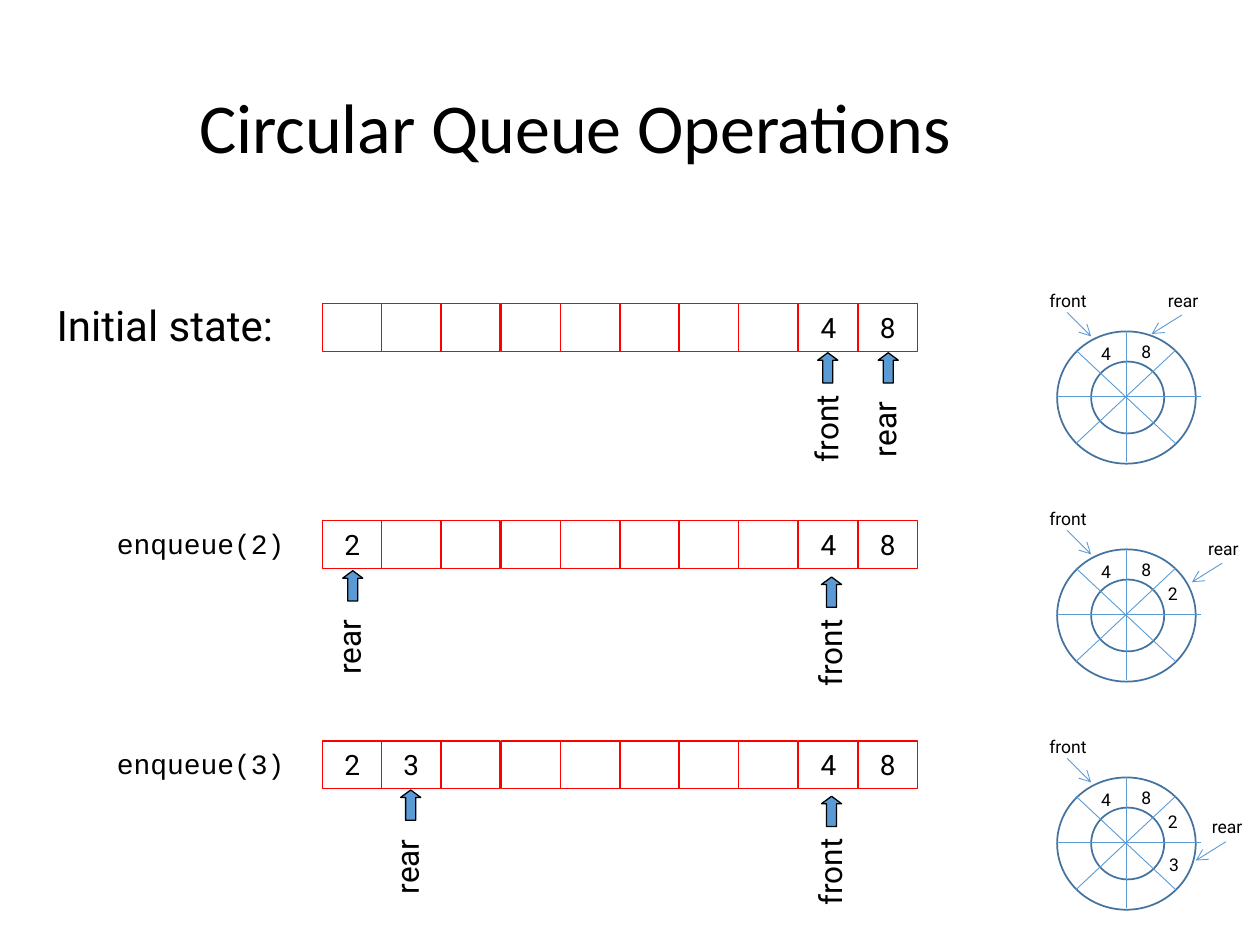
from dataclasses import dataclass

from lxml.etree import SubElement
from pptx import Presentation
from pptx.dml.color import RGBColor
from pptx.enum.shapes import MSO_CONNECTOR, MSO_SHAPE
from pptx.enum.text import MSO_ANCHOR, PP_ALIGN
from pptx.oxml.ns import qn
from pptx.util import Emu, Pt

BLACK = RGBColor(0x00, 0x00, 0x00)
WHITE = RGBColor(0xFF, 0xFF, 0xFF)
RED = RGBColor(0xFF, 0x00, 0x00)
BLUE = RGBColor(0x5B, 0x9B, 0xD5)
DARK_BLUE = RGBColor(0x43, 0x73, 0x9E)

EMU_PER_PX = 9144  # 100 px to the inch
CELL_COUNT, ARRAY_LEFT, ARRAY_WIDTH = 10, 256, 472
RING_LEFT = 839
# Ends of the spokes and places of the values, from the ring's top left corner
SPOKES = [(55, 0, 55, 104), (94, 15, 15, 89), (114, 52, 0, 52), (15, 15, 94, 89)]
SLOTS = {4: (25, 4), 8: (57, 3), 2: (78, 22), 3: (79, 56)}


@dataclass(frozen=True)
class Caption:
    text: str
    left: int
    top: int
    width: int
    height: int
    size: int
    font: str = "Roboto"


@dataclass(frozen=True)
class Pointer:
    """An up arrow below the array, with its label turned to read upwards."""
    left: int
    top: int


@dataclass(frozen=True)
class QueueState:
    caption: Caption
    array_top: int
    cells: dict[int, int]
    front: Pointer
    rear: Pointer
    ring_top: int
    ring_values: tuple[int, ...]
    ring_rear: tuple[int, int]


STATES = [
    QueueState(Caption("Initial state:", 35, 233, 205, 55, 24), 241, {8: 4, 9: 8},
               Pointer(649, 280), Pointer(697, 280), 263, (4, 8), (78, -38)),
    QueueState(Caption("enqueue(2)", 83, 413, 165, 37, 16, "Courier New"), 413,
               {0: 2, 8: 4, 9: 8},
               Pointer(652, 458), Pointer(272, 453), 436, (4, 8, 2), (110, -14)),
    QueueState(Caption("enqueue(3)", 83, 588, 165, 37, 16, "Courier New"), 588,
               {0: 2, 1: 3, 8: 4, 9: 8},
               Pointer(652, 632), Pointer(318, 627), 617, (4, 8, 2, 3), (113, 26)),
]


def px(*lengths: int) -> list[Emu]:
    return [Emu(length * EMU_PER_PX) for length in lengths]


def style_text(paragraph, size: int, font: str = "Roboto") -> None:
    paragraph.font.size = Pt(size)
    paragraph.font.name = font
    paragraph.font.color.rgb = BLACK


def draw_caption(slide, caption: Caption, rotation: int = 0) -> None:
    box = slide.shapes.add_textbox(
        *px(caption.left, caption.top, caption.width, caption.height))
    box.rotation = rotation
    box.text_frame.word_wrap = True
    box.text_frame.text = caption.text
    style_text(box.text_frame.paragraphs[0], caption.size, caption.font)


def draw_shape(slide, kind: MSO_SHAPE, left: int, top: int, width: int, height: int,
               line: RGBColor, weight: float, fill: RGBColor | None = None):
    shape = slide.shapes.add_shape(kind, *px(left, top, width, height))
    shape.shadow.inherit = False
    if fill is None:
        shape.fill.background()
    else:
        shape.fill.solid()
        shape.fill.fore_color.rgb = fill
    shape.line.color.rgb = line
    shape.line.width = Pt(weight)
    return shape


def draw_line(slide, x1: int, y1: int, x2: int, y2: int, arrow: bool = False) -> None:
    connector = slide.shapes.add_connector(MSO_CONNECTOR.STRAIGHT, *px(x1, y1, x2, y2))
    connector.line.color.rgb = BLUE
    connector.line.width = Pt(0.5)
    properties = connector._element.spPr
    if arrow:
        SubElement(properties.find(qn("a:ln")), qn("a:tailEnd"), type="arrow")
    SubElement(properties, qn("a:effectLst"))


def draw_array(slide, top: int, values: dict[int, int]) -> None:
    for index in range(CELL_COUNT):
        left = ARRAY_LEFT + round(index * ARRAY_WIDTH / CELL_COUNT)
        cell = draw_shape(slide, MSO_SHAPE.RECTANGLE, left, top, 47, 38, RED, 0.75)
        if index in values:
            frame = cell.text_frame
            frame.text = str(values[index])
            frame.vertical_anchor = MSO_ANCHOR.MIDDLE
            frame.paragraphs[0].alignment = PP_ALIGN.CENTER
            style_text(frame.paragraphs[0], 16)


def draw_pointer(slide, pointer: Pointer, text: str, dx: int, dy: int, width: int) -> None:
    arrow = draw_shape(slide, MSO_SHAPE.UP_ARROW, pointer.left, pointer.top, 16, 24,
                       BLACK, 0.75, BLUE)
    arrow.adjustments[0] = 0.5
    arrow.adjustments[1] = 0.37
    label = Caption(text, pointer.left + dx, pointer.top + dy, width, 40, 18)
    draw_caption(slide, label, rotation=270)


def draw_ring_label(slide, text: str, left: int, top: int,
                    start: tuple[int, int], run: tuple[int, int]) -> None:
    draw_caption(slide, Caption(text, left, top, 55, 26, 10))
    x, y = left + start[0], top + start[1]
    draw_line(slide, x, y, x + run[0], y + run[1], arrow=True)


def draw_ring(slide, state: QueueState) -> None:
    left, top = RING_LEFT, state.ring_top
    draw_shape(slide, MSO_SHAPE.OVAL, left, top, 110, 105, DARK_BLUE, 1, WHITE)
    draw_shape(slide, MSO_SHAPE.OVAL, left + 27, top + 24, 58, 57, DARK_BLUE, 1, WHITE)
    for x1, y1, x2, y2 in SPOKES:
        draw_line(slide, left + x1, top + y1, left + x2, top + y2)
    draw_ring_label(slide, "front", left - 16, top - 38, (24, 23), (19, 19))
    rear_x, rear_y = state.ring_rear
    draw_ring_label(slide, "rear", left + rear_x, top + rear_y, (21, 25), (-24, 15))
    for value in state.ring_values:
        dx, dy = SLOTS[value]
        draw_caption(slide, Caption(str(value), left + dx, top + dy, 24, 26, 10))


def main() -> None:
    presentation = Presentation()
    presentation.slide_width, presentation.slide_height = px(1000, 750)
    slide = presentation.slides.add_slide(presentation.slide_layouts[5])

    # Title
    title = slide.shapes.title
    title.left, title.top, title.width, title.height = px(148, 24, 852, 160)
    title.text_frame.text = "Circular Queue Operations"
    title.text_frame.vertical_anchor = MSO_ANCHOR.MIDDLE
    heading = title.text_frame.paragraphs[0]
    heading.alignment = PP_ALIGN.LEFT
    heading.line_spacing = 0.9
    style_text(heading, 40, "Calibri")

    # One row for each state: caption, array with pointers, ring
    for state in STATES:
        draw_caption(slide, state.caption)
        draw_array(slide, state.array_top, state.cells)
        draw_pointer(slide, state.rear, "rear", -39, 29, 87)
        draw_pointer(slide, state.front, "front", -33, 37, 79)
        draw_ring(slide, state)

    presentation.save("out.pptx")


if __name__ == "__main__":
    main()
